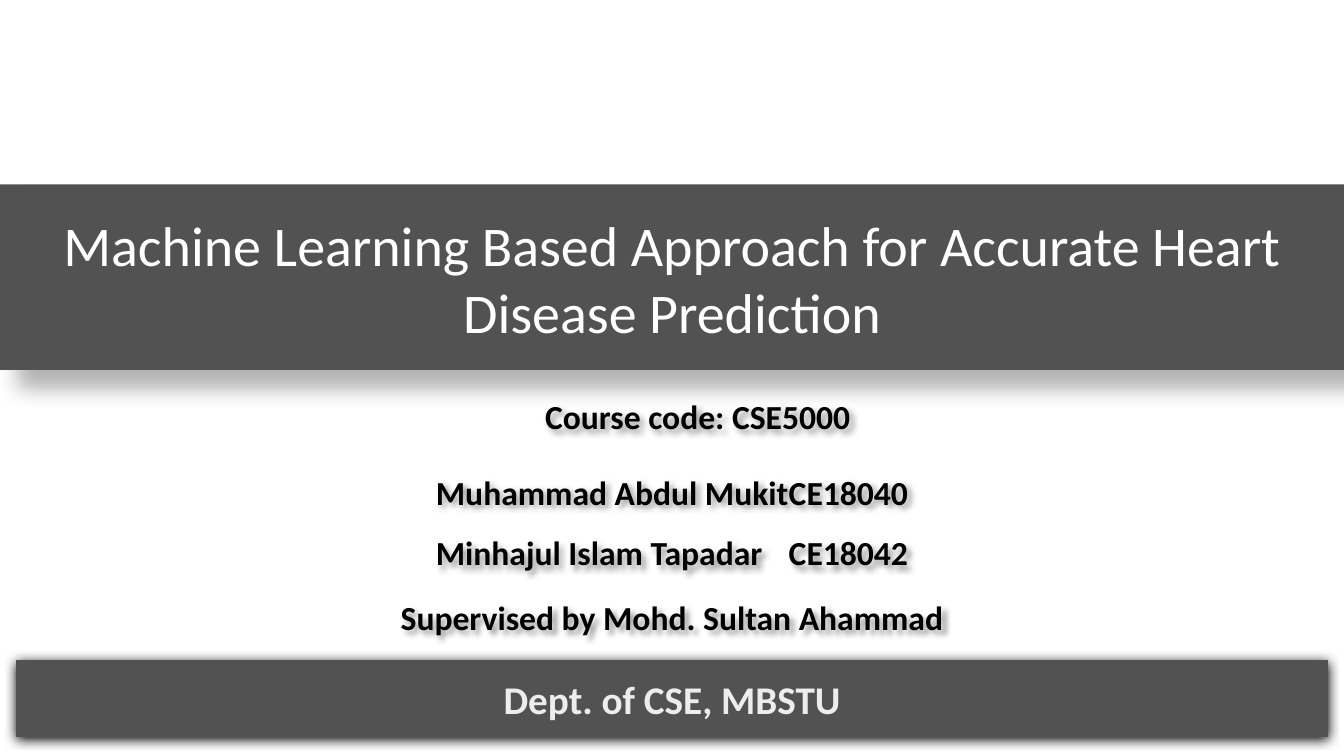
from dataclasses import dataclass

from lxml.etree import SubElement
from pptx import Presentation
from pptx.dml.color import RGBColor
from pptx.enum.shapes import MSO_SHAPE
from pptx.enum.text import MSO_ANCHOR, MSO_AUTO_SIZE, PP_ALIGN
from pptx.oxml.ns import qn
from pptx.util import Inches, Pt


@dataclass(frozen=True)
class Theme:
    font: str = "Calibri"
    band: RGBColor = RGBColor(0x52, 0x52, 0x52)
    title: RGBColor = RGBColor(0xFF, 0xFF, 0xFF)
    body: RGBColor = RGBColor(0x00, 0x00, 0x00)
    footer: RGBColor = RGBColor(0xED, 0xED, 0xED)
    title_size: int = 40
    body_size: int = 24
    footer_size: int = 28


THEME = Theme()


def cast_shadow(shape, opacity, blur, distance, angle):
    """Give a shape a black outer shadow; lengths in points."""
    shape.shadow.inherit = False
    effects = shape._element.spPr.find(qn("a:effectLst"))
    shadow = SubElement(effects, qn("a:outerShdw"), {
        "blurRad": str(Pt(blur)),
        "dist": str(Pt(distance)),
        "dir": str(angle * 60000),
        "algn": "ctr",
        "rotWithShape": "0",
    })
    color = SubElement(shadow, qn("a:srgbClr"), val="000000")
    SubElement(color, qn("a:alpha"), val=str(opacity * 1000))


def write_lines(shape, lines, size, color, bold=True, spacing=1.0,
                anchor=MSO_ANCHOR.TOP):
    frame = shape.text_frame
    frame.text = "\n".join(lines)
    frame.word_wrap = True
    frame.auto_size = MSO_AUTO_SIZE.NONE
    frame.vertical_anchor = anchor
    for paragraph in frame.paragraphs:
        paragraph.alignment = PP_ALIGN.CENTER
        paragraph.line_spacing = spacing
        paragraph.font.name = THEME.font
        paragraph.font.size = Pt(size)
        paragraph.font.bold = bold
        paragraph.font.color.rgb = color


def fill_band(shape):
    shape.fill.solid()
    shape.fill.fore_color.rgb = THEME.band
    shape.line.fill.background()


def add_title_band(page, left, top, width, height, text):
    title = page.shapes.title
    title.left, title.top, title.width, title.height = left, top, width, height
    fill_band(title)
    cast_shadow(title, opacity=29, blur=15, distance=18, angle=45)
    write_lines(title, [text], THEME.title_size, THEME.title, bold=False,
                anchor=MSO_ANCHOR.MIDDLE)


def add_credit(page, left, top, width, height, lines, spacing):
    box = page.shapes.add_textbox(left, top, width, height)
    cast_shadow(box, opacity=40, blur=4, distance=3, angle=45)
    write_lines(box, lines, THEME.body_size, THEME.body, spacing=spacing)


def add_footer_band(page, left, top, width, height, text):
    band = page.shapes.add_shape(MSO_SHAPE.RECTANGLE, left, top, width, height)
    fill_band(band)
    cast_shadow(band, opacity=100, blur=8.5, distance=1, angle=90)
    write_lines(band, [text], THEME.footer_size, THEME.footer,
                anchor=MSO_ANCHOR.MIDDLE)


def build_title_page(deck):
    page = deck.slides.add_slide(deck.slide_layouts[0])
    subtitle = page.placeholders[1]._element
    subtitle.getparent().remove(subtitle)

    margin = Inches(0.16)
    inner_width = deck.slide_width - 2 * margin

    # Title
    add_title_band(page, 0, Inches(1.83), deck.slide_width, Inches(1.84),
                   "Machine Learning Based Approach for Accurate Heart "
                   "Disease Prediction")
    # Course, authors and supervisor
    add_credit(page, Inches(2.17), Inches(3.99), Inches(9.5), Inches(0.4),
               ["Course code: CSE5000"], 0.7)
    add_credit(page, margin, Inches(4.43), inner_width, Inches(1.23),
               ["Muhammad Abdul Mukit\tCE18040",
                "Minhajul Islam Tapadar\tCE18042"], 1.5)
    add_credit(page, margin, Inches(5.98), inner_width, Inches(0.4),
               ["Supervised by Mohd. Sultan Ahammad"], 0.7)
    # Department
    add_footer_band(page, margin, Inches(6.55), inner_width, Inches(0.76),
                    "Dept. of CSE, MBSTU")


def main():
    deck = Presentation()
    deck.slide_width = Inches(13.33)
    deck.slide_height = Inches(7.5)
    build_title_page(deck)
    deck.save("out.pptx")


if __name__ == "__main__":
    main()
